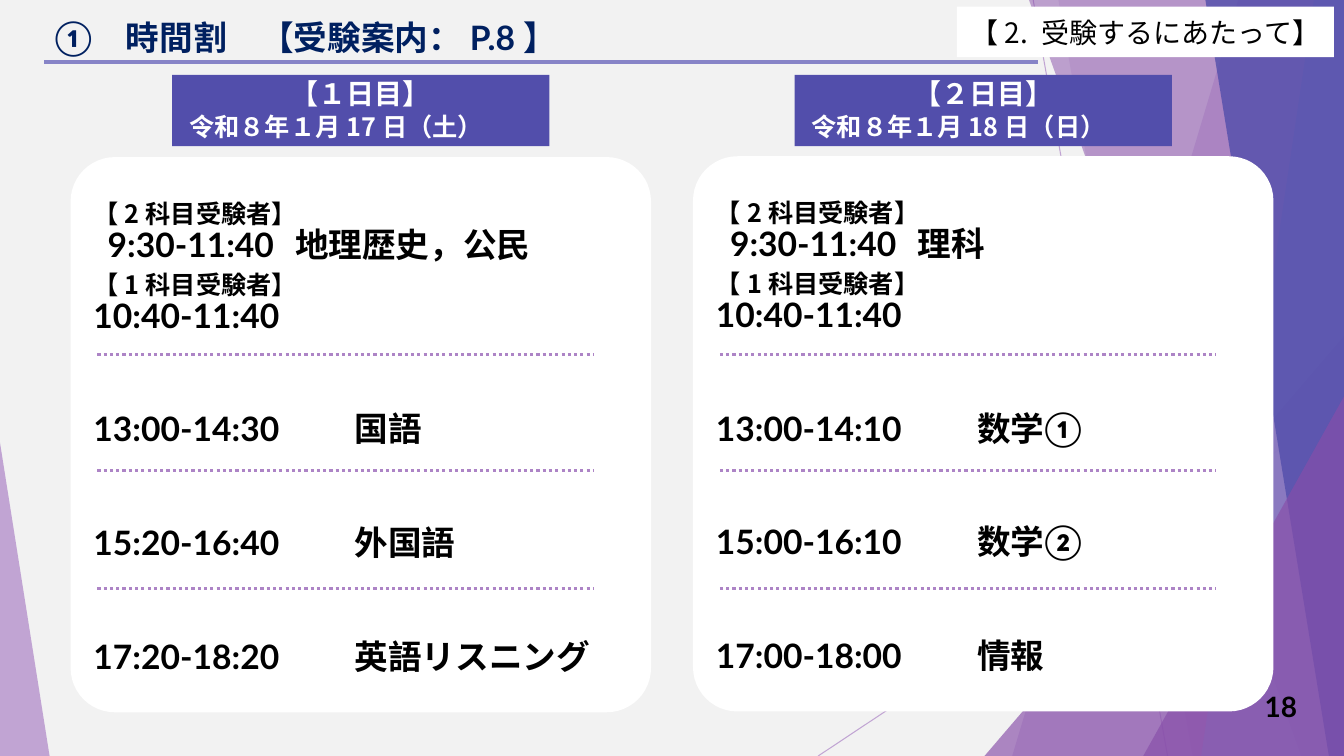
from pptx import Presentation, util as u
from pptx.dml.color import RGBColor
from pptx.enum import dml, shapes as s, text as t
from pptx.oxml import ns
from lxml import etree

COLS, ROWS = 160, 90
LATO, NOTO = "Lato", "Noto Sans CJK JP"
LILAC, PURPLE, MAUVE, INDIGO = "AD84C6", "874EA9", "8784C7", "524EAB"
WHITE, BLACK, NAVY, GREY = "FFFFFF", "000000", "002060", "F2F2F2"
MID, TOP = t.MSO_ANCHOR.MIDDLE, t.MSO_ANCHOR.TOP
LEFT, CENTER, RIGHT = t.PP_ALIGN.LEFT, t.PP_ALIGN.CENTER, t.PP_ALIGN.RIGHT
RECT, ROUND = s.MSO_SHAPE.RECTANGLE, s.MSO_SHAPE.ROUNDED_RECTANGLE
TRI = s.MSO_SHAPE.ISOSCELES_TRIANGLE


def paint(fill, code, alpha=100):
    fill.solid()
    fill.fore_color.rgb = RGBColor.from_string(code)
    if alpha < 100:
        clr = fill._xPr.find(".//" + ns.qn("a:srgbClr"))
        etree.SubElement(clr, ns.qn("a:alpha"), val=str(alpha * 1000))


def apply(item, form):
    for key, val in form.items():
        setattr(item, key, val)


class Deck:
    def __init__(self):
        self.prs = Presentation()
        self.prs.slide_width, self.prs.slide_height = u.Inches(13.33), u.Inches(7.5)
        self.slide = self.prs.slides.add_slide(self.prs.slide_layouts[5])
        self.shapes = self.slide.shapes
        paint(self.slide.background.fill, GREY)

    def grid(self, *cells):
        """Turn alternating columns and rows into slide lengths."""
        size = self.prs.slide_width / COLS, self.prs.slide_height / ROWS
        return [round(n * size[i % 2]) for i, n in enumerate(cells)]

    def finish(self, shape, code, alpha=100):
        shape.shadow.inherit = False
        shape.line.fill.background()
        paint(shape.fill, code, alpha)
        return shape

    def box(self, kind, cells, code, alpha=100, adj=None):
        shape = self.shapes.add_shape(kind, *self.grid(*cells))
        if adj is not None:
            shape.adjustments[0] = adj
        return self.finish(shape, code, alpha)

    def band(self, top, base, code, alpha):
        """Fill from a slanted left edge to the slide's right side."""
        start, *rest = [self.grid(*p) for p in
                        ((top, 0), (COLS, 0), (COLS, ROWS), (base, ROWS))]
        form = self.shapes.build_freeform(*start, scale=1.0)
        form.add_line_segments(rest, close=True)
        self.finish(form.convert_to_shape(), code, alpha)

    def rule(self, ends, code, width, alpha=100, dash=None):
        rule = self.shapes.add_connector(s.MSO_CONNECTOR.STRAIGHT, *self.grid(*ends))
        rule.line.width = u.Pt(width)
        paint(rule.line.fill, code, alpha)
        if dash:
            rule.line.dash_style = dash
        etree.SubElement(rule._element.spPr, ns.qn("a:effectLst"))

    def words(self, shape, paras, code, bold=True, font=LATO, anchor=MID, pitch=None):
        """Fill a shape; each para is (runs, size, format, margins, tab), odd runs in Noto."""
        frame = shape.text_frame
        apply(frame, {"word_wrap": True, "vertical_anchor": anchor,
                      "auto_size": t.MSO_AUTO_SIZE.NONE})
        for i, (runs, size, form, margins, tab) in enumerate(paras):
            para = frame.add_paragraph() if i else frame.paragraphs[0]
            apply(para, form)
            if pitch:
                para.line_spacing = u.Pt(pitch)
            props = para._p.get_or_add_pPr()
            for key, val in margins.items():
                props.set(key, str(u.Inches(val)))
            if tab:
                tabs = etree.SubElement(props, ns.qn("a:tabLst"))
                etree.SubElement(tabs, ns.qn("a:tab"), pos=str(u.Inches(tab)), algn="l")
            for j, part in enumerate(runs):
                run = para.add_run()
                run.text = part
                face = NOTO if j % 2 else font
                apply(run.font, {"size": u.Pt(size), "bold": bold, "name": face})
                paint(run.font.fill, code)
                etree.SubElement(run._r.get_or_add_rPr(), ns.qn("a:ea"), typeface=face)

    def title(self, cells, name):
        title = self.shapes.title
        apply(title, dict(zip(("left", "top", "width", "height"), self.grid(*cells))))
        self.words(title, [([name], 24, {"alignment": LEFT}, {}, None)], NAVY, anchor=TOP)

    def label(self, cells, name, size, align):
        label = self.shapes.add_textbox(*self.grid(*cells))
        self.words(label, [([name], size, {"alignment": align}, {}, None)], BLACK)

    def day(self, x, y, name, date, first, exams):
        """Draw one day's heading and timetable card."""
        head = self.box(RECT, (x + 12.1, 8.9, 44.9, 8.5), INDIGO)
        self.words(head, [([name], 20, {"alignment": CENTER}, {}, None),
                          (date, 18, {"alignment": LEFT}, {"marL": 0.07}, None)],
                   WHITE, pitch=22)
        card = self.box(ROUND, (x, y, 69.1, 66.1), WHITE, adj=0.08)
        left, gap = {"alignment": LEFT}, {"alignment": LEFT, "space_before": u.Pt(56)}
        group = lambda n: (["【", n, "科目受験者】"], 18, left, {}, None)
        paras = [group("2"),
                 (["9:30-11:40\t" + first], 24, left, {"marL": 0, "indent": 0.14}, 2.55),
                 group("1"), (["10:40-11:40"], 24, left, {}, None)]
        paras += [(["\t".join(exam)], 24, gap, {}, 2.59) for exam in exams]
        self.words(card, paras, BLACK, pitch=25.3)
        for row in (42.2, 56, 70.1):
            self.rule((x + 3.2, row, x + 62.3, row), LILAC, 2.25, dash=dml.MSO_LINE.ROUND_DOT)


def main():
    deck = Deck()
    for ends in ((123, 0, 139, 90), (160, 48.4, 97.4, 90)):
        deck.rule(ends, LILAC, 0.75, 70)
    deck.band(147.4, 120.5, LILAC, 36)
    deck.band(126, 142, LILAC, 20)
    deck.box(TRI, (117.2, 40, 42.8, 50), PURPLE, 66, 1)
    deck.band(122.5, 154.9, PURPLE, 50)
    deck.band(156.4, 143, MAUVE, 70)
    deck.band(143.5, 158.2, INDIGO, 80)
    deck.box(TRI, (136.1, 47.2, 23.9, 42.8), PURPLE, 66, 1)
    deck.box(TRI, (0, 52.7, 5.9, 37.3), LILAC, 70, 0)
    deck.rule((5.3, 7.4, 123.6, 7.4), MAUVE, 3)
    deck.title((5.3, 1.4, 121.8, 7.4), "①　時間割　【受験案内：P.8】")
    deck.label((146.6, 81.7, 9, 4.8), "18", 20, RIGHT)
    deck.day(8.4, 18.7, "【１日目】", ["令和８年１月", "17", "日（土）"], "地理歴史，公民",
             [("13:00-14:30", "国語"), ("15:20-16:40", "外国語"),
              ("17:20-18:20", "英語リスニング")])
    deck.day(82.5, 18.6, "【２日目】", ["令和８年１月", "18", "日（日）"], "理科",
             [("13:00-14:10", "数学①"), ("15:00-16:10", "数学②"),
              ("17:00-18:00", "情報")])
    part = deck.box(RECT, (113.9, 0.8, 44.9, 6), WHITE)
    deck.words(part, [(["【2. 受験するにあたって】"], 20, {"alignment": CENTER}, {}, None)],
               BLACK, bold=False, font=NOTO)
    deck.prs.save("out.pptx")


if __name__ == "__main__":
    main()
